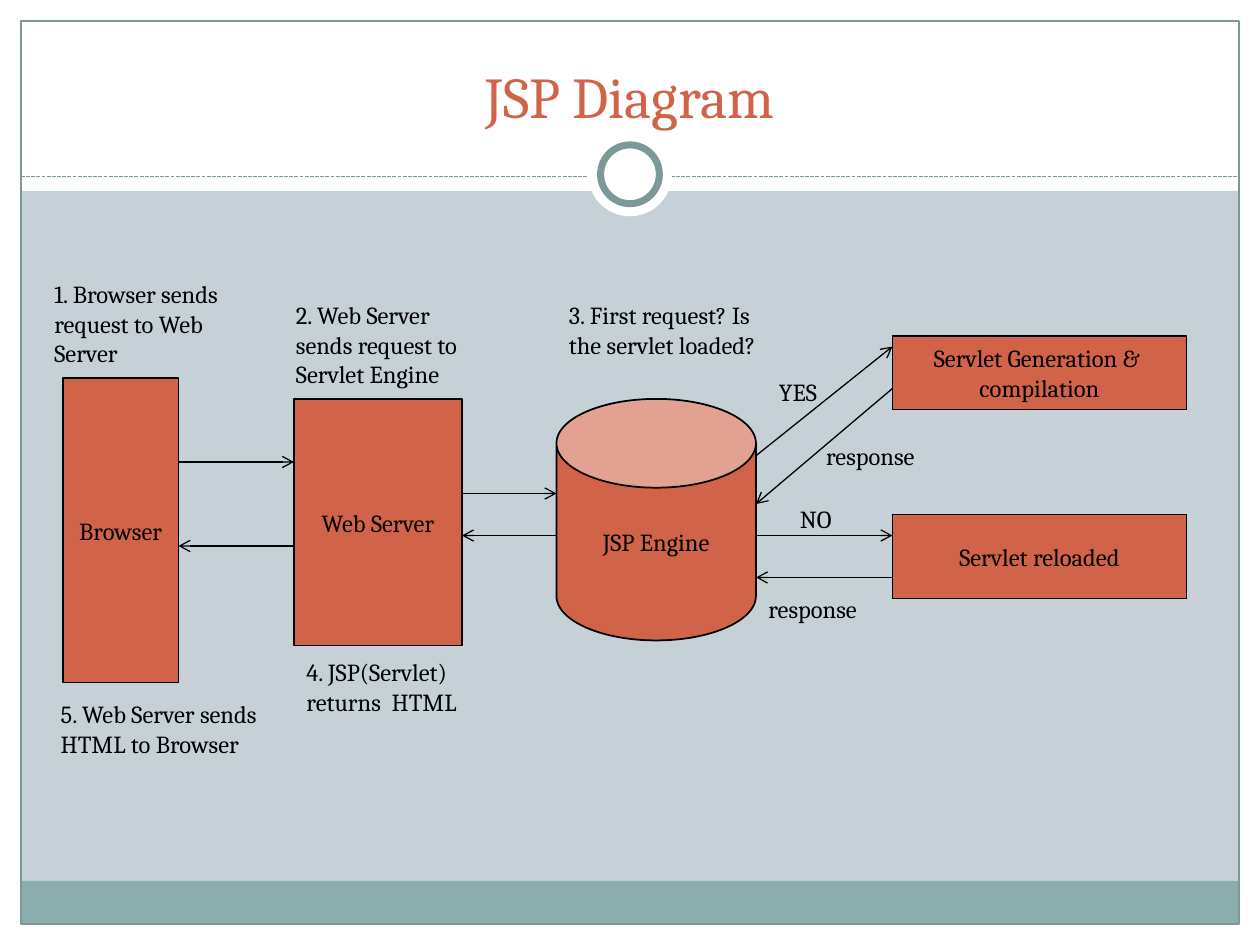
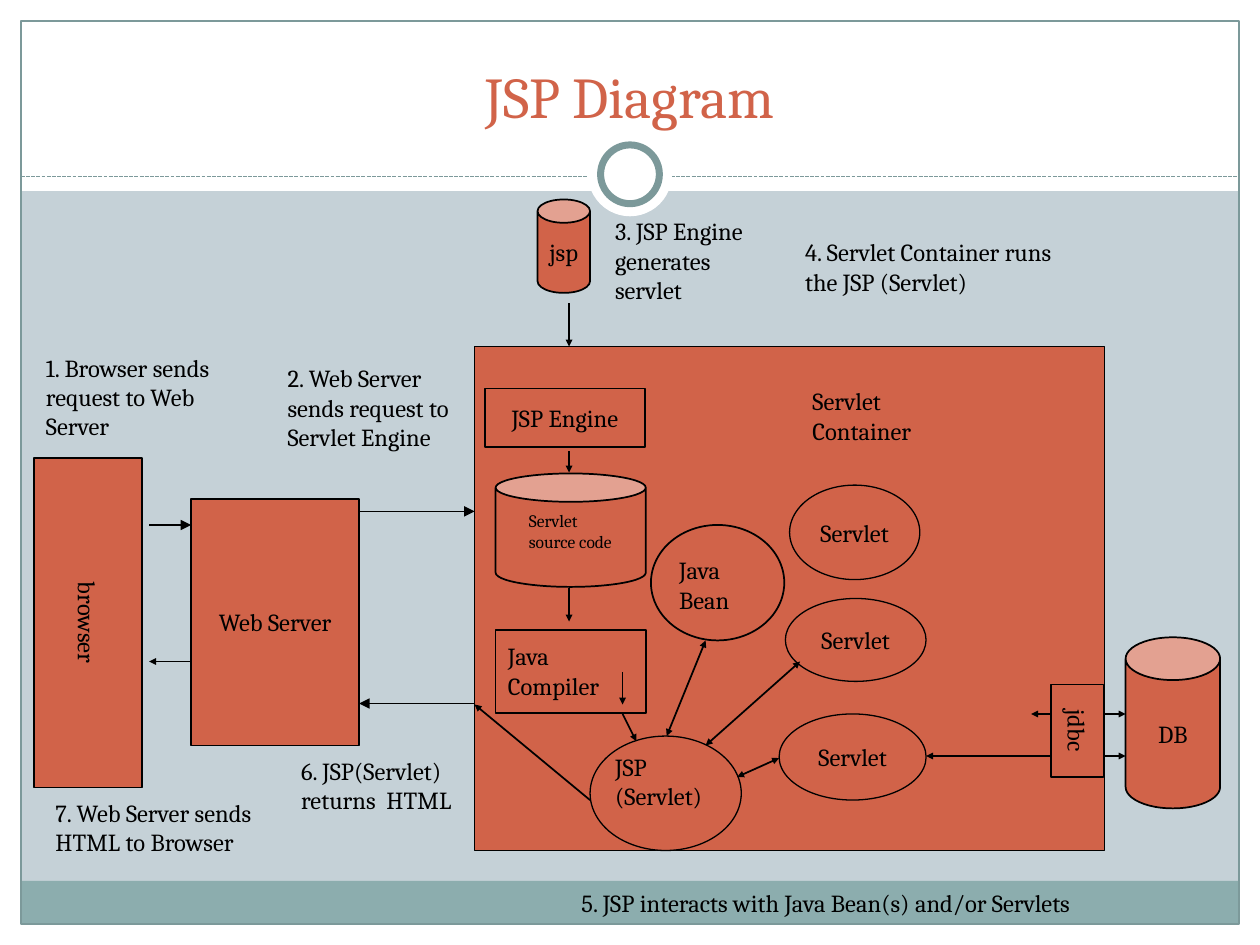
from lxml import etree
from pptx import Presentation
from pptx.dml.color import RGBColor
from pptx.enum.dml import MSO_LINE_DASH_STYLE as Dash
from pptx.enum.shapes import MSO_CONNECTOR as Connector, MSO_SHAPE as Shape
from pptx.enum.text import MSO_ANCHOR as Anchor, PP_ALIGN as Align
from pptx.oxml.ns import qn
from pptx.util import Emu, Inches, Pt

# The slide is a grid of 120 columns and 90 rows of equal square cells.
WIDTH, HEIGHT = 10, 7.5
COLUMNS = 120
CELL = Inches(WIDTH) / COLUMNS
MARGIN, RIGHT, BOTTOM = 2, 118, 88      # edges of the frame
FONT = "Cambria"
ORANGE, TEAL, BAND = "D16349", "7C999A", "8CADAE"
WHITE, BLACK, BACKGROUND = "FFFFFF", "000000", "C5D1D7"

# Arrow styles: line width, head at the start, head at the end, head size
ARROW_STYLES = {
    "open": (0.75, None, "arrow", "med"),
    "thin": (0.75, None, "triangle", "med"),
    "solid": (1, None, "triangle", "sm"),
    "both": (1, "triangle", "triangle", "sm"),
}

# Boxes: text, preset, (left, top, width, height), options
REQUEST_BOXES = [
    ("Web Server", Shape.RECTANGLE, (28, 38, 16, 23.5), {}),
    ("Browser", Shape.RECTANGLE, (6, 36, 11, 29), {}),
    ("JSP Engine", Shape.CAN, (53, 38, 19, 23), {"lid": 0.445}),
    ("Servlet Generation & \ncompilation", Shape.RECTANGLE, (85, 32, 28, 7), {}),
    ("Servlet reloaded", Shape.RECTANGLE, (85, 49, 28, 8), {}),
]
# Arrows: style, start, end
REQUEST_ARROWS = [
    ("open", (17, 44), (28, 44)),
    ("open", (28, 52), (17, 52)),
    ("open", (44, 47), (53, 47)),
    ("open", (53, 51), (44, 51)),
    ("open", (72, 43.4), (85, 33)),
    ("open", (85, 37), (72, 48)),
    ("open", (72, 51), (85, 51)),
    ("open", (85, 55), (72, 55)),
]
# Labels: text, (left, top, width, height), size
REQUEST_LABELS = [
    ("1. Browser sends request to Web Server", (4, 26, 22.8, 9.6), 14),
    ("2. Web Server sends request to Servlet Engine", (27, 28, 21, 9.6), 14),
    ("3. First request? Is the servlet loaded?", (53, 28, 21, 9.7), 14),
    ("4. JSP(Servlet) returns  HTML ", (28, 62, 19.8, 6.8), 14),
    ("5. Web Server sends HTML to Browser", (4.6, 66, 23.4, 6.8), 14),
    ("YES", (73, 35.3, 7, 4), 14),
    ("response", (77.5, 41.4, 13, 4), 14),
    ("NO", (75, 47.4, 7, 4), 14),
    ("response", (72, 56, 13, 4), 14),
]

CONTAINER_BOXES = [
    ("", Shape.RECTANGLE, (45.2, 33, 60, 48), {"weight": 0.75}),
    ("Servlet", Shape.OVAL, (75.2, 46.2, 12.4, 9), {"weight": 0.75}),
    ("Servlet", Shape.OVAL, (74.8, 57, 13.4, 7.9), {"weight": 0.75}),
    ("Servlet", Shape.OVAL, (74.2, 68, 14, 8.2), {"weight": 0.75}),
    ("browser", Shape.RECTANGLE, (3.2, 43.6, 10.3, 31.4), {"turned": True}),
    ("Web Server", Shape.RECTANGLE, (18.2, 47.5, 16, 23.5), {}),
    ("DB", Shape.CAN, (107.2, 60.7, 9, 16.3), {"lid": 0.453}),
    ("jsp", Shape.CAN, (51.2, 19, 5, 8.9), {"lid": 0.445}),
    ("JSP Engine", Shape.RECTANGLE, (46.2, 37, 15.2, 5.6), {}),
    ("", Shape.CAN, (47.2, 45.1, 14.3, 10.8), {"lid": 0.25}),
    ("", Shape.RECTANGLE, (47.2, 60, 14.3, 7.9), {}),
    ("", Shape.OVAL, (56.2, 70.1, 14.4, 10.9), {"weight": 0.75}),
    ("", Shape.OVAL, (62, 50, 12.7, 11), {}),
]
# The two arrows out of the compiler run to the right of its label.
CONTAINER_ARROWS = [
    ("thin", (14.2, 50), (18.2, 50)),
    ("solid", (18.2, 63), (14.2, 63)),
    ("thin", (34.2, 48.7), (45.2, 48.7)),
    ("thin", (45.2, 67), (34.2, 67)),
    ("solid", (54.2, 28.9), (54.2, 33)),
    ("solid", (54.2, 43), (54.2, 45)),
    ("solid", (54.2, 56), (54.2, 59.2)),
    ("solid", (59.3, 64), (59.3, 67.1)),
    ("solid", (59.3, 68), (60.6, 70.6)),
    ("solid", (56.2, 76.2), (45.2, 67.1)),
    ("both", (63.5, 70.1), (67.2, 61)),
    ("both", (67.2, 71), (76.2, 63)),
    ("both", (70.2, 74), (74.2, 72.2)),
    ("both", (88.2, 72), (107.2, 72)),
    ("both", (98.2, 68), (107.2, 68)),
]
DRIVER_BOX = [("jdbc", Shape.RECTANGLE, (100.1, 65.2, 5, 8.8), {"turned": True})]
CONTAINER_LABELS = [
    ("1. Browser sends request to Web Server", (3.2, 33, 22.8, 9.6), 14),
    ("2. Web Server sends request to Servlet Engine", (26.2, 34, 21, 9.6), 14),
    ("3. JSP Engine generates servlet", (57.4, 20, 15.8, 12.4), 14),
    ("4. Servlet Container runs the JSP (Servlet)", (75.5, 22, 26.8, 6.8), 14),
    ("5. JSP interacts with Java Bean(s) and/or Servlets ", (54.2, 84, 63.8, 4), 14),
    ("6. JSP(Servlet) returns  HTML ", (27.5, 71.4, 19.8, 6.8), 14),
    ("7. Web Server sends HTML to Browser", (4.1, 75.4, 23.4, 6.8), 14),
    ("Servlet Container", (76.2, 36.2, 14.9, 6.8), 14),
    ("Servlet source code", (49.2, 48, 11.3, 7.2), 10),
    ("Java Compiler", (47.2, 60.5, 13.4, 6.8), 14),
    ("JSP (Servlet) ", (57.4, 71, 13.2, 6.8), 14),
    ("Java Bean", (63.5, 52.3, 9.7, 6.8), 14),
]


def color(hex_code):
    """Turn a hex string into a colour."""
    return RGBColor.from_string(hex_code)


def cells(*counts):
    """Turn counts of grid cells into lengths."""
    return [Emu(round(count * CELL)) for count in counts]


def write(frame, text, size=14, ink=BLACK, align=Align.LEFT):
    """Fill a text frame, one paragraph per line of text."""
    for index, line in enumerate(text.split("\n")):
        paragraph = frame.add_paragraph() if index else frame.paragraphs[0]
        paragraph.alignment = align
        run = paragraph.add_run()
        run.text = line
        run.font.name, run.font.size = FONT, Pt(size)
        run.font.color.rgb = color(ink)


def add_plain(slide, preset, place, fill=None, line=None, weight=0.75):
    """Add a preset shape without shadow; no colour means no fill or line."""
    shape = slide.shapes.add_shape(preset, *cells(*place))
    shape.shadow.inherit = False
    if fill:
        shape.fill.solid()
        shape.fill.fore_color.rgb = color(fill)
    else:
        shape.fill.background()
    if line:
        shape.line.color.rgb = color(line)
        shape.line.width = Pt(weight)
    else:
        shape.line.fill.background()
    return shape


def add_box(slide, text, preset, place, options):
    """Add an orange diagram box, its text turned clockwise if asked."""
    left, top, width, height = place
    turned = options.get("turned", False)
    if turned:
        shift = (width - height) / 2
        place = left + shift, top - shift, height, width
    shape = add_plain(slide, preset, place, ORANGE, BLACK, options.get("weight", 1))
    if turned:
        shape.rotation = 90
    if "lid" in options:
        shape.adjustments[0] = options["lid"]
    if text:
        frame = shape.text_frame
        frame.word_wrap = False
        frame.vertical_anchor = Anchor.MIDDLE
        write(frame, text, align=Align.CENTER)


def add_line(slide, start, end, ink, weight):
    """Add a straight connector without shadow."""
    line = slide.shapes.add_connector(Connector.STRAIGHT, *cells(*start, *end))
    line.line.color.rgb = color(ink)
    line.line.width = Pt(weight)
    etree.SubElement(line._element.spPr, qn("a:effectLst"))
    return line


def add_arrow(slide, style, start, end):
    """Add an arrow in one of the named styles."""
    weight, head, tail, size = ARROW_STYLES[style]
    outline = add_line(slide, start, end, BLACK, weight).line._get_or_add_ln()
    for tag, kind in (("a:headEnd", head), ("a:tailEnd", tail)):
        if kind:
            etree.SubElement(outline, qn(tag), type=kind, w=size, len=size)


def add_label(slide, text, place, size):
    """Add a wrapped text box."""
    frame = slide.shapes.add_textbox(*cells(*place)).text_frame
    frame.word_wrap = True
    write(frame, text, size)


def add_frame(slide, title):
    """Draw the bands, frame, ring and title that all slides share."""
    rows = COLUMNS * HEIGHT / WIDTH
    for place in ((0, BOTTOM, COLUMNS, rows - BOTTOM), (0, 0, COLUMNS, 18.2),
                  (0, 0, MARGIN, rows), (RIGHT, 0, COLUMNS - RIGHT, rows)):
        add_plain(slide, Shape.RECTANGLE, place, WHITE)
    inner = RIGHT - MARGIN
    add_plain(slide, Shape.RECTANGLE, (MARGIN, 83.9, inner, BOTTOM - 83.9), BAND)
    add_plain(slide, Shape.RECTANGLE, (MARGIN, MARGIN, inner, BOTTOM - MARGIN), None, TEAL)
    rule = add_line(slide, (MARGIN, 16.8), (RIGHT, 16.8), TEAL, 0.75)
    rule.line.dash_style = Dash.SQUARE_DOT
    for diameter, line in ((8, None), (5.6, TEAL)):
        corner = COLUMNS / 2 - diameter / 2, 16.6 - diameter / 2
        add_plain(slide, Shape.OVAL, (*corner, diameter, diameter), WHITE, line, 4)
    frame = slide.shapes.add_textbox(*cells(4, 3, 112, 10)).text_frame
    frame.word_wrap = True
    frame.vertical_anchor = Anchor.BOTTOM
    write(frame, title, 33, ORANGE, Align.CENTER)


# Slides: title and layers from back to front
SLIDES = [
    ("JSP Diagram", [(add_box, REQUEST_BOXES), (add_arrow, REQUEST_ARROWS),
                     (add_label, REQUEST_LABELS)]),
    ("JSP Diagram", [(add_box, CONTAINER_BOXES), (add_arrow, CONTAINER_ARROWS),
                     (add_box, DRIVER_BOX), (add_label, CONTAINER_LABELS)]),
]

presentation = Presentation()
presentation.slide_width, presentation.slide_height = Inches(WIDTH), Inches(HEIGHT)
for title, layers in SLIDES:
    slide = presentation.slides.add_slide(presentation.slide_layouts[6])
    slide.background.fill.solid()
    slide.background.fill.fore_color.rgb = color(BACKGROUND)
    add_frame(slide, title)
    for draw, items in layers:
        for item in items:
            draw(slide, *item)
presentation.save("out.pptx")
